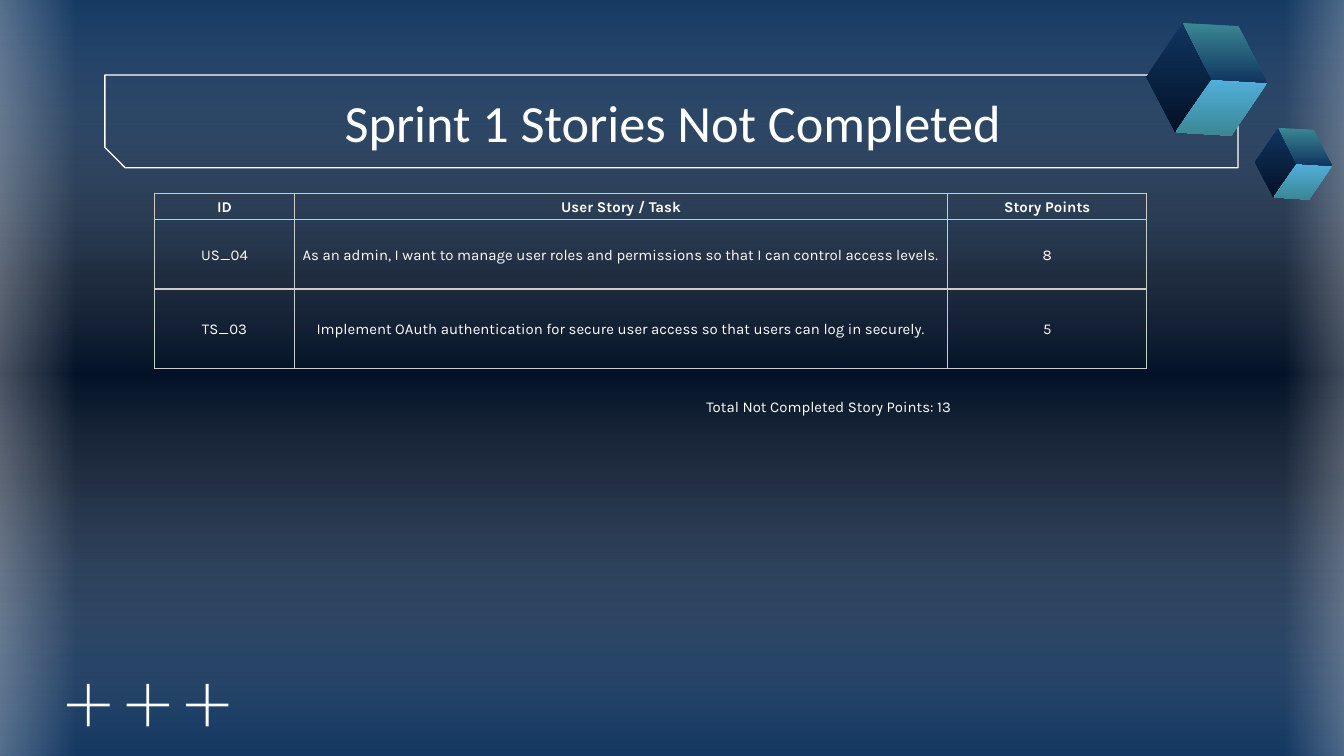
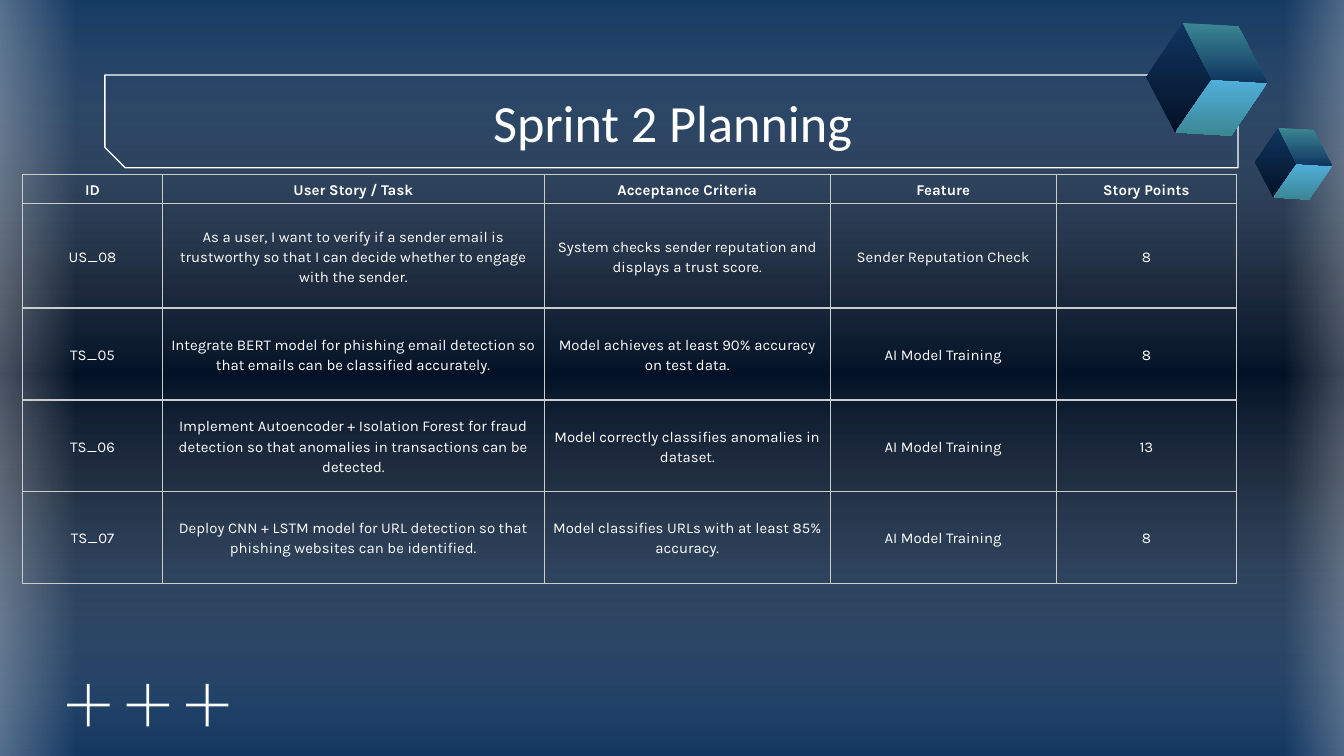
from dataclasses import dataclass

from lxml.etree import SubElement
from pptx import Presentation
from pptx.dml.color import RGBColor
from pptx.enum.shapes import MSO_SHAPE
from pptx.enum.text import MSO_ANCHOR, MSO_AUTO_SIZE, PP_ALIGN
from pptx.oxml.ns import qn
from pptx.util import Pt


@dataclass(frozen=True)
class Theme:
    white: str = "FFFFFF"
    navy: str = "10355F"
    night: str = "031126"
    sky: str = "51AFDB"
    teal: str = "3B8794"
    grid: str = "CCCCCC"
    title_font: str = "Calibri"
    body_font: str = "Karla"
    title_size: float = 28
    body_size: float = 8
    frame_line: float = 0.75
    grid_line: float = 0.83


THEME = Theme()
WIDTH, HEIGHT = 720, 405

# Gradient stops: position, colour, opacity (all in percent)
BACKDROP = [(0, THEME.navy, 100), (37, THEME.night, 100),
            (63, THEME.night, 100), (100, THEME.navy, 100)]
VEIL = [(0, THEME.navy, 59), (50, THEME.white, 0), (100, THEME.navy, 59)]
EDGE_GLOW = [(0, THEME.white, 47), (100, THEME.white, 0)]

# Cube faces as fractions of the cube's box, with top and bottom colours
CUBE_FACES = [
    ([(0.3, 0), (0, 0.48), (0.24, 0.97), (0.54, 0.5)], THEME.navy, THEME.night),
    ([(0.54, 0.5), (1, 0.53), (0.7, 1), (0.24, 0.97)], THEME.sky, THEME.teal),
    ([(0.3, 0), (0.76, 0.03), (1, 0.53), (0.54, 0.5)], THEME.teal, THEME.navy),
]


def set_formats(target, formats):
    for name, value in formats.items():
        setattr(target, name, value)


def points(box):
    return [Pt(length) for length in box]


def paint_gradient(properties, stops, angle):
    """Put a linear gradient in the place of an empty fill."""
    gradient = properties.makeelement(qn("a:gradFill"), {"rotWithShape": "1"})
    stop_list = SubElement(gradient, qn("a:gsLst"))
    for position, colour, opacity in stops:
        stop = SubElement(stop_list, qn("a:gs"), pos=str(position * 1000))
        tone = SubElement(stop, qn("a:srgbClr"), val=colour)
        if opacity < 100:
            SubElement(tone, qn("a:alpha"), val=str(opacity * 1000))
    SubElement(gradient, qn("a:lin"), ang=str(angle * 60000), scaled="0")
    properties.replace(properties.find(qn("a:noFill")), gradient)


def make_plain(shape):
    shape.shadow.inherit = False
    shape.fill.background()
    shape.line.fill.background()
    return shape


def write_text(frame, text, font, size, align, bold=False, spacing=None):
    para = frame.paragraphs[0]
    set_formats(para, {"alignment": align, "line_spacing": spacing})
    span = para.add_run()
    span.text = text
    set_formats(span.font, {"name": font, "size": Pt(size), "bold": bold})
    span.font.color.rgb = RGBColor.from_string(THEME.white)


def add_text_box(page, box, text, font, size, align, anchor, auto_size):
    frame = page.shapes.add_textbox(*points(box)).text_frame
    margins = dict.fromkeys(
        ["margin_left", "margin_top", "margin_right", "margin_bottom"], Pt(7.2))
    set_formats(frame, {"word_wrap": True, "vertical_anchor": anchor,
                        "auto_size": auto_size, **margins})
    write_text(frame, text, font, size, align)


def add_backdrop(page):
    page.background.fill.background()
    paint_gradient(page.element.find(".//" + qn("p:bgPr")), BACKDROP, 90)
    # Veil over the whole page, then a glow at each side
    for box, turn, stops in [
        ((158.4, -167.8, 418.3, 735.1), 270, VEIL),
        ((-29.5, -6.5, 70.6, 417.6), 180, EDGE_GLOW),
        ((688.3, -9.4, 61.2, 417.6), 0, EDGE_GLOW),
    ]:
        band = make_plain(page.shapes.add_shape(MSO_SHAPE.RECTANGLE, *points(box)))
        band.rotation = turn
        paint_gradient(band.element.spPr, stops, 180)


def add_title(page, box, text):
    frame = make_plain(
        page.shapes.add_shape(MSO_SHAPE.SNIP_2_DIAG_RECTANGLE, *points(box)))
    frame.adjustments[0], frame.adjustments[1] = 0, 0.22
    frame.line.color.rgb = RGBColor.from_string(THEME.white)
    frame.line.width = Pt(THEME.frame_line)
    left, top, width, height = box
    add_text_box(page, (left + 0.6, top + 2.2, width, height - 4.4), text,
                 THEME.title_font, THEME.title_size, PP_ALIGN.CENTER,
                 MSO_ANCHOR.MIDDLE, MSO_AUTO_SIZE.NONE)


def add_plus_signs(page, box, count=3, pitch=31.85, stroke=1.6):
    left, top, arm = box
    inset = (arm - stroke) / 2
    group = page.shapes.add_group_shape()
    for index in range(count):
        start = left + index * pitch
        for bar_box in [(start + inset, top, stroke, arm),
                        (start, top + inset, arm, stroke)]:
            bar = make_plain(
                group.shapes.add_shape(MSO_SHAPE.RECTANGLE, *points(bar_box)))
            bar.fill.solid()
            bar.fill.fore_color.rgb = RGBColor.from_string(THEME.white)


def add_cube(page, box):
    left, top, width, height = box
    group = page.shapes.add_group_shape()
    for corners, upper, lower in CUBE_FACES:
        outline = [(Pt(left + x * width), Pt(top + y * height)) for x, y in corners]
        builder = group.shapes.build_freeform(*outline[0])
        builder.add_line_segments(outline[1:], close=True)
        face = make_plain(builder.convert_to_shape())
        paint_gradient(face.element.spPr, [(0, upper, 100), (100, lower, 100)], 90)


def add_borders(cell):
    properties = cell._tc.get_or_add_tcPr()
    for index, side in enumerate(["lnL", "lnR", "lnT", "lnB"]):
        line = properties.makeelement(
            qn(f"a:{side}"), {"w": str(int(Pt(THEME.grid_line)))})
        fill = SubElement(line, qn("a:solidFill"))
        SubElement(fill, qn("a:srgbClr"), val=THEME.grid)
        properties.insert(index, line)


def add_story_table(page, origin, widths, heights, rows):
    box = (*origin, sum(widths), sum(heights))
    table = page.shapes.add_table(len(rows), len(widths), *points(box)).table
    set_formats(table, {"first_row": False, "horz_banding": False})
    for column, width in zip(table.columns, widths):
        column.width = Pt(width)
    for row_index, (row, height) in enumerate(zip(rows, heights)):
        table.rows[row_index].height = Pt(height)
        for column_index, text in enumerate(row):
            cell = table.cell(row_index, column_index)
            set_formats(cell, {"margin_left": Pt(2.16), "margin_right": Pt(2.16),
                               "margin_top": Pt(1.44), "margin_bottom": Pt(1.44),
                               "vertical_anchor": MSO_ANCHOR.MIDDLE})
            cell.fill.background()
            add_borders(cell)
            write_text(cell.text_frame, text, THEME.body_font, THEME.body_size,
                       PP_ALIGN.CENTER, bold=row_index == 0, spacing=1.15)


def add_page(deck, title):
    page = deck.slides.add_slide(deck.slide_layouts[6])
    add_backdrop(page)
    add_title(page, (56.2, 40.2, 607, 49.7), title)
    add_plus_signs(page, (36, 366.4, 22.7))
    add_cube(page, (614.2, 12.3, 64.8, 60.4))
    add_cube(page, (672.4, 68.5, 41.2, 38.4))
    return page


def add_not_completed_page(deck):
    page = add_page(deck, "Sprint 1 Stories Not Completed")
    add_story_table(page, (82.8, 103.8), [75, 350, 106.6], [13.2, 37.5, 42.5], [
        ("ID", "User Story / Task", "Story Points"),
        ("US_04", "As an admin, I want to manage user roles and permissions "
                  "so that I can control access levels.", "8"),
        ("TS_03", "Implement OAuth authentication for secure user access "
                  "so that users can log in securely.", "5"),
    ])
    add_text_box(page, (371.4, 208.2, 321.1, 24.5),
                 "Total Not Completed Story Points: 13",
                 THEME.body_font, THEME.body_size, PP_ALIGN.LEFT,
                 MSO_ANCHOR.TOP, MSO_AUTO_SIZE.SHAPE_TO_FIT_TEXT)


def add_planning_page(deck):
    page = add_page(deck, "Sprint 2 Planning")
    widths = [75, 204.6, 153.2, 121, 96.7]
    heights = [15.6, 56] + [49.2] * 3
    add_story_table(page, (12.1, 93.5), widths, heights, [
        ("ID", "User Story / Task", "Acceptance Criteria", "Feature", "Story Points"),
        ("US_08", "As a user, I want to verify if a sender email is trustworthy "
                  "so that I can decide whether to engage with the sender.",
         "System checks sender reputation and displays a trust score.",
         "Sender Reputation Check", "8"),
        ("TS_05", "Integrate BERT model for phishing email detection "
                  "so that emails can be classified accurately.",
         "Model achieves at least 90% accuracy on test data.",
         "AI Model Training", "8"),
        ("TS_06", "Implement Autoencoder + Isolation Forest for fraud detection "
                  "so that anomalies in transactions can be detected.",
         "Model correctly classifies anomalies in dataset.",
         "AI Model Training", "13"),
        ("TS_07", "Deploy CNN + LSTM model for URL detection "
                  "so that phishing websites can be identified.",
         "Model classifies URLs with at least 85% accuracy.",
         "AI Model Training", "8"),
    ])


def main():
    deck = Presentation()
    set_formats(deck, {"slide_width": Pt(WIDTH), "slide_height": Pt(HEIGHT)})
    add_not_completed_page(deck)
    add_planning_page(deck)
    deck.save("out.pptx")


if __name__ == "__main__":
    main()
